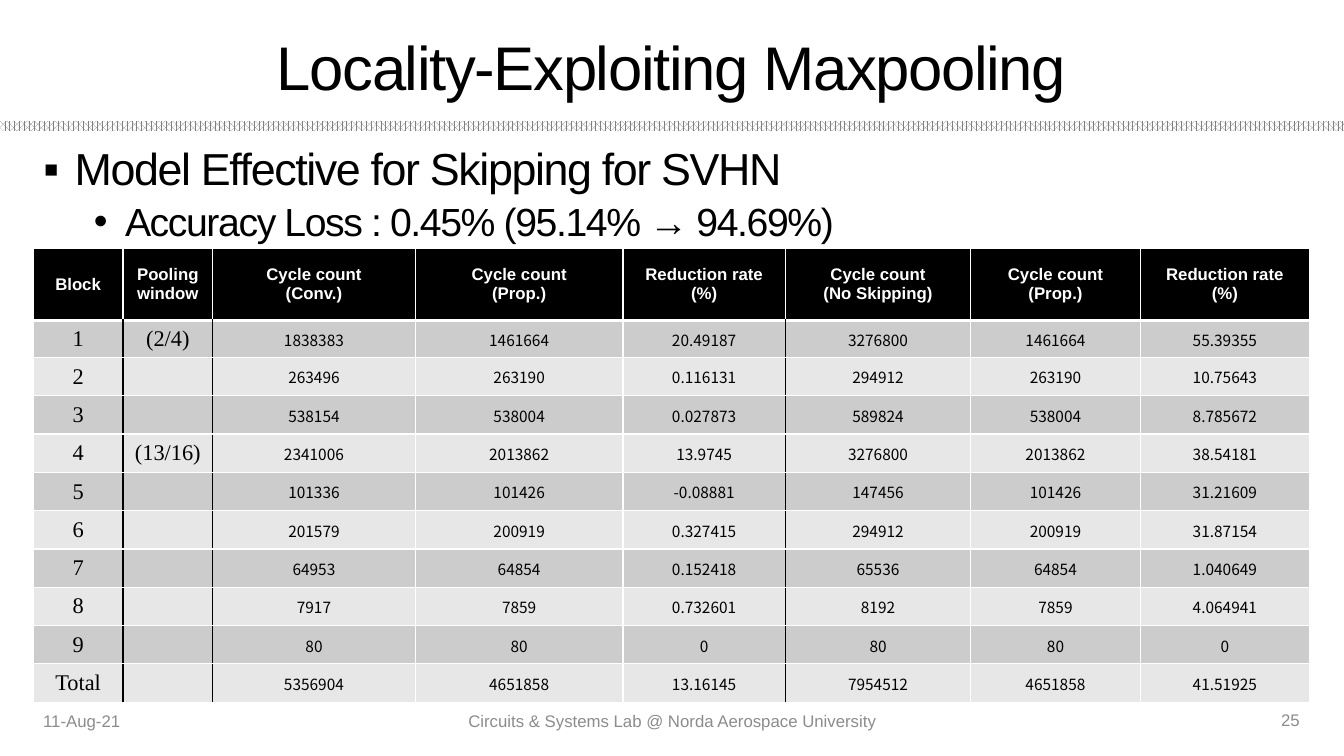
"""Build the slide on locality-exploiting maxpooling with its cycle count table."""
import pptx
import pptx.dml.color
import pptx.enum.dml
import pptx.enum.shapes
import pptx.enum.text
import pptx.oxml.ns
import pptx.util
from lxml import etree

Inches = pptx.util.Inches
Pt = pptx.util.Pt
ALIGN = pptx.enum.text.PP_ALIGN
MIDDLE = pptx.enum.text.MSO_ANCHOR.MIDDLE
qn = pptx.oxml.ns.qn

COLORS = {"black": "000000", "white": "FFFFFF", "footer": "8C8C8C",
          "rule": "808080", "odd": "CCCCCC", "even": "E7E7E7"}

FORMATS = {
    "title": {"name": "Arial", "size": Pt(44)},
    "topic": {"name": "Arial", "size": Pt(32)},
    "detail": {"name": "Arial", "size": Pt(28)},
    "footer": {"name": "Arial", "size": Pt(12)},
    "header": {"name": "Arial", "size": Pt(12), "bold": True},
    "block": {"name": "Times New Roman", "size": Pt(16), "bold": False},
    "count": {"name": "Noto Sans CJK KR", "size": Pt(11), "bold": False},
}
COUNT_MARGINS = {"margin_left": Inches(0.01), "margin_right": Inches(0.01),
                 "margin_top": Inches(0.01), "margin_bottom": 0}

HEADERS = ["Block", "Pooling window", "Cycle count\n(Conv.)", "Cycle count\n(Prop.)",
           "Reduction rate\n(%)", "Cycle count\n(No Skipping)",
           "Cycle count\n(Prop.)", "Reduction rate\n(%)"]
COLUMN_WIDTHS = [0.89, 0.89, 2.01, 2.06, 1.61, 1.84, 1.68, 1.68]
ROW_HEIGHTS = [0.72, 0.34] + [0.38] * 9
DIVIDERS = {1, 2, 5}

RESULTS = [
    ("1", "(2/4)", "1838383", "1461664", "20.49187", "3276800", "55.39355"),
    ("2", "", "263496", "263190", "0.116131", "294912", "10.75643"),
    ("3", "", "538154", "538004", "0.027873", "589824", "8.785672"),
    ("4", "(13/16)", "2341006", "2013862", "13.9745", "3276800", "38.54181"),
    ("5", "", "101336", "101426", "-0.08881", "147456", "31.21609"),
    ("6", "", "201579", "200919", "0.327415", "294912", "31.87154"),
    ("7", "", "64953", "64854", "0.152418", "65536", "1.040649"),
    ("8", "", "7917", "7859", "0.732601", "8192", "4.064941"),
    ("9", "", "80", "80", "0", "80", "0"),
    ("Total", "", "5356904", "4651858", "13.16145", "7954512", "41.51925"),
]


def rgb(color):
    """Return the named colour."""
    return pptx.dml.color.RGBColor.from_string(COLORS[color])


def apply(target, values):
    """Set each attribute in values on target."""
    for attribute, value in values.items():
        setattr(target, attribute, value)


def place(shape, left, top, width, height):
    """Move and size a shape, in inches."""
    apply(shape, {"left": Inches(left), "top": Inches(top),
                  "width": Inches(width), "height": Inches(height)})


def write(paragraph, text, style, color="black", align=ALIGN.LEFT, spacing=None):
    """Write one formatted run into a paragraph."""
    paragraph.alignment = align
    run = paragraph.add_run()
    run.text = text
    apply(run.font, FORMATS[style])
    run.font.color.rgb = rgb(color)
    if spacing is not None:
        run._r.get_or_add_rPr().set("spc", str(spacing))


def add_bullet(paragraph, char, left, hanging):
    """Give a paragraph a bullet with a hanging indent."""
    properties = paragraph._p.get_or_add_pPr()
    properties.set("marL", str(Inches(left)))
    properties.set("indent", str(-Inches(hanging)))
    etree.SubElement(properties, qn("a:buFont"), typeface="Arial")
    etree.SubElement(properties, qn("a:buChar"), char=char)


def fill_title(slide):
    """Place and write the title."""
    title = slide.shapes.title
    place(title, 0.33, 0.22, 12.66, 0.87)
    title.text_frame.vertical_anchor = MIDDLE
    write(title.text_frame.paragraphs[0], "Locality-Exploiting Maxpooling",
          "title", align=ALIGN.CENTER, spacing=-100)


def fill_points(slide):
    """Place and write the bulleted points."""
    points = slide.placeholders[1]
    place(points, 0.33, 1.41, 12.66, 5.35)
    frame = points.text_frame
    frame.auto_size = pptx.enum.text.MSO_AUTO_SIZE.NONE
    topic, detail = frame.paragraphs[0], frame.add_paragraph()
    apply(topic, {"line_spacing": 0.9, "space_before": Pt(10)})
    apply(detail, {"level": 1, "line_spacing": 0.9, "space_before": Pt(5)})
    add_bullet(topic, "▪", 0.31, 0.31)
    add_bullet(detail, "•", 0.81, 0.31)
    write(topic, "Model Effective for Skipping for SVHN", "topic", spacing=-100)
    write(detail, "Accuracy Loss : 0.45% (95.14% → 94.69%)", "detail", spacing=-100)


def add_rule(slide):
    """Add the patterned band under the title."""
    band = slide.shapes.add_shape(pptx.enum.shapes.MSO_SHAPE.RECTANGLE, 0, Inches(1.2),
                                  Inches(13.33), Inches(0.1))
    band.shadow.inherit = False
    band.line.fill.background()
    band.fill.patterned()
    band.fill.pattern = pptx.enum.dml.MSO_PATTERN.PERCENT_70
    band.fill.fore_color.rgb = rgb("rule")
    band.fill.back_color.rgb = rgb("white")


def add_footer(slide, text, left, top, width, align):
    """Add one footer text."""
    footer = slide.shapes.add_textbox(Inches(left), Inches(top), Inches(width), Inches(0.4))
    apply(footer.text_frame, {"word_wrap": True, "vertical_anchor": MIDDLE})
    write(footer.text_frame.paragraphs[0], text, "footer", "footer", align)


def add_border(cell, side, color, points):
    """Draw one side of a cell border."""
    line = etree.SubElement(cell._tc.get_or_add_tcPr(), qn(f"a:ln{side}"), w=str(Pt(points)))
    solid = etree.SubElement(line, qn("a:solidFill"))
    etree.SubElement(solid, qn("a:srgbClr"), val=COLORS[color])


def fill_cell(cell, text, style, color, background, borders):
    """Write a cell and set its borders and fill."""
    cell.vertical_anchor = MIDDLE
    if style == "count":
        apply(cell, COUNT_MARGINS)
    for side, (line_color, points) in borders.items():
        add_border(cell, side, line_color, points)
    cell.fill.solid()
    cell.fill.fore_color.rgb = rgb(background)
    frame = cell.text_frame
    if not text:
        size = str(int(FORMATS[style]["size"].pt * 100))
        etree.SubElement(frame.paragraphs[0]._p, qn("a:endParaRPr"), sz=size)
        return
    for index, line in enumerate(text.split("\n")):
        paragraph = frame.add_paragraph() if index else frame.paragraphs[0]
        write(paragraph, line, style, color, ALIGN.CENTER)


def add_results(slide):
    """Add the table of cycle counts and reduction rates."""
    table = slide.shapes.add_table(
        len(ROW_HEIGHTS), len(COLUMN_WIDTHS), Inches(0.33), Inches(2.46),
        Inches(sum(COLUMN_WIDTHS)), Inches(sum(ROW_HEIGHTS))).table
    for column, width in zip(table.columns, COLUMN_WIDTHS):
        column.width = Inches(width)
    for row, height in zip(table.rows, ROW_HEIGHTS):
        row.height = Inches(height)
    thin, thick, divider = ("white", 1), ("white", 3), ("black", 1)
    for c, text in enumerate(HEADERS):
        borders = {"L": thin, "R": thin, "T": thin, "B": thick}
        fill_cell(table.cell(0, c), text, "header", "white", "black", borders)
    for r, result in enumerate(RESULTS, start=1):
        proposed = result[3]
        for c, text in enumerate(result[:6] + (proposed,) + result[6:]):
            borders = {"L": divider if c in DIVIDERS else thin,
                       "R": divider if c + 1 in DIVIDERS else thin,
                       "T": thick if r == 1 else thin, "B": thin}
            fill_cell(table.cell(r, c), text, "block" if c < 2 else "count",
                      "black", "odd" if r % 2 else "even", borders)


def main():
    """Build and save the slide."""
    deck = pptx.Presentation()
    apply(deck, {"slide_width": Inches(13.33), "slide_height": Inches(7.5)})
    slide = deck.slides.add_slide(deck.slide_layouts[1])
    add_rule(slide)
    fill_title(slide)
    fill_points(slide)
    add_footer(slide, "11-Aug-21", 0.33, 6.95, 3, ALIGN.LEFT)
    add_footer(slide, "Circuits & Systems Lab @ Norda Aerospace University",
               4.42, 6.95, 4.5, ALIGN.CENTER)
    add_footer(slide, "25", 9.95, 6.94, 3.04, ALIGN.RIGHT)
    add_results(slide)
    deck.save("out.pptx")


if __name__ == "__main__":
    main()
